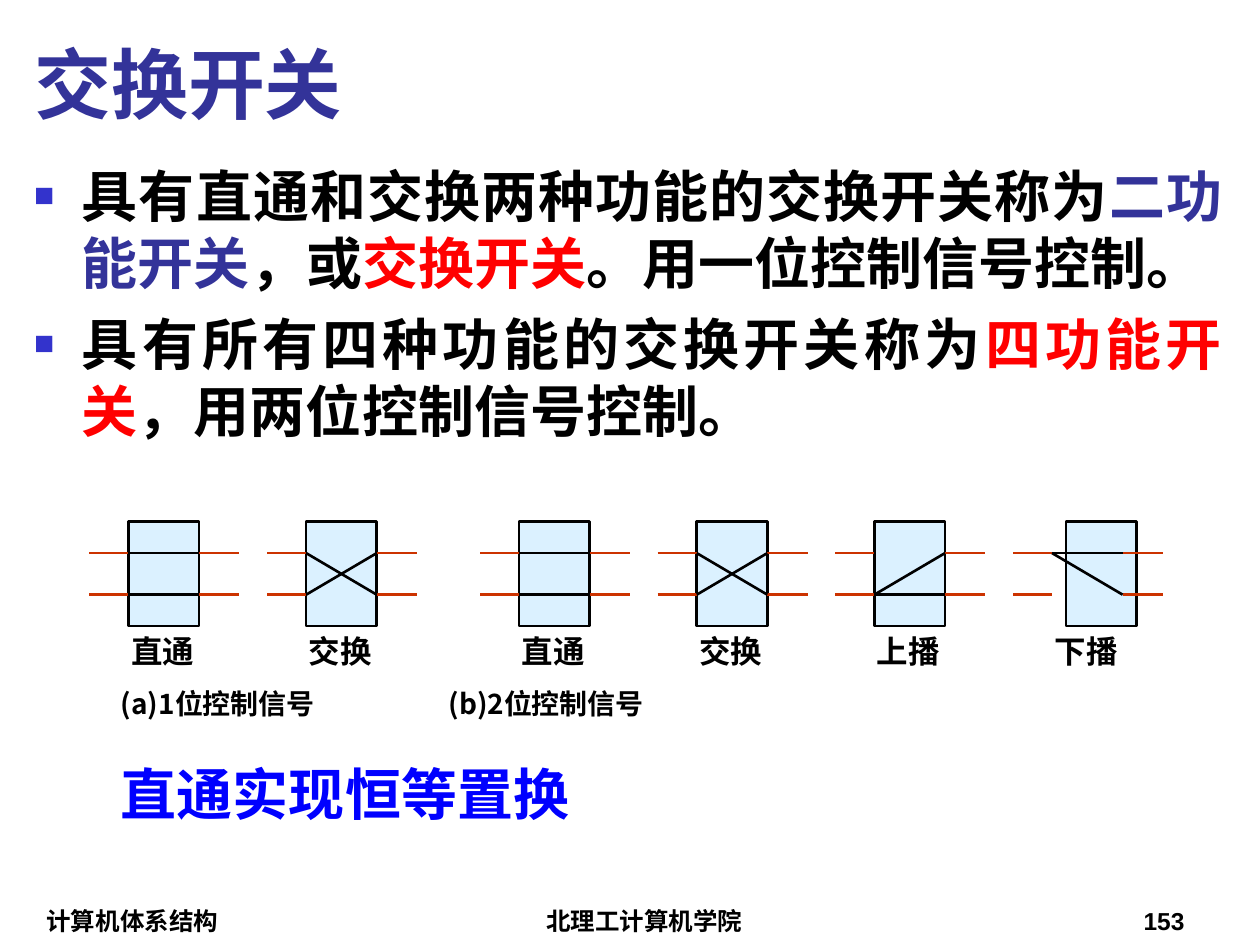
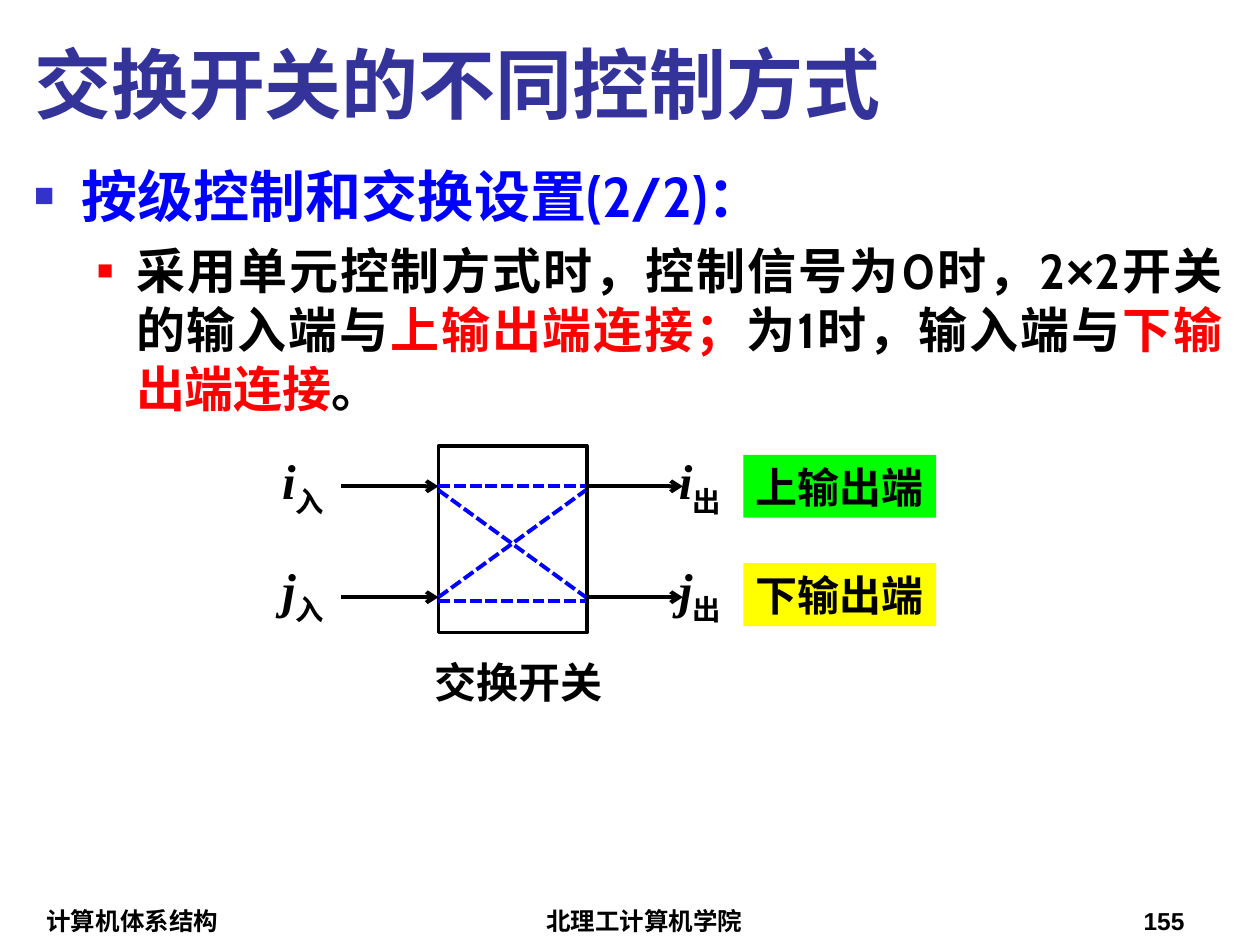
from lxml import etree
from pptx import Presentation
from pptx import util as u
from pptx.dml.color import RGBColor
from pptx.enum import dml, shapes, text
from pptx.oxml.ns import qn

COLORS = {
    "black": "000000", "title": "333399", "red": "FF0000", "blue": "0000FF",
    "bullet": "3333CC", "switch": "CCECFF", "lead": "CC3300",
    "green": "00FF00", "yellow": "FFFF00",
}
BODY_FONT = "Cabin"
CJK_FONT = "Noto Sans CJK SC"
SERIF = "Times New Roman"
LEFT, CENTER, RIGHT = text.PP_ALIGN.LEFT, text.PP_ALIGN.CENTER, text.PP_ALIGN.RIGHT
SMALL_INSETS = (0.02, 0.01)
LEVELS = [
    {"size": 32, "left": 0.38, "hang": 0.38, "before": 8, "color": "bullet", "scale": 60},
    {"size": 28, "left": 0.81, "hang": 0.31, "before": 7, "color": "red", "scale": 55},
]
PATTERNS = {
    "直通": [(0, 0), (1, 1)],
    "交换": [(0, 1), (1, 0)],
    "上播": [(1, 1), (1, 0)],
    "下播": [(0, 0), (0, 1)],
}


def rgb(name):
    return RGBColor.from_string(COLORS[name])


def sub(parent, tag, **attrs):
    return etree.SubElement(parent, qn(tag), attrs)


def place(sp, x, y, w, h):
    sp.left, sp.top = u.Inches(x), u.Inches(y)
    sp.width, sp.height = u.Inches(w), u.Inches(h)


def add_run(p, words, size, color="black", font=BODY_FONT, italic=False, baseline=None):
    r = p.add_run()
    r.text = words
    r.font.size = u.Pt(size)
    r.font.name = font
    r.font.bold = True
    r.font.italic = italic
    r.font.color.rgb = rgb(color)
    rPr = r._r.get_or_add_rPr()
    sub(rPr, "a:ea", typeface=BODY_FONT)
    if baseline:
        rPr.set("baseline", str(baseline * 1000))


def add_text(s, box, runs, size, font=BODY_FONT, align=LEFT, insets=(0.1, 0.05),
             anchor=text.MSO_ANCHOR.TOP, fit=False, fill=None):
    sp = s.shapes.add_textbox(*map(u.Inches, box))
    if fill:
        sp.fill.solid()
        sp.fill.fore_color.rgb = rgb(fill)
    tf = sp.text_frame
    tf.word_wrap = not fit
    tf.auto_size = text.MSO_AUTO_SIZE.SHAPE_TO_FIT_TEXT if fit else text.MSO_AUTO_SIZE.NONE
    tf.vertical_anchor = anchor
    tf.margin_left = tf.margin_right = u.Inches(insets[0])
    tf.margin_top = tf.margin_bottom = u.Inches(insets[1])
    p = tf.paragraphs[0]
    p.alignment = align
    for words, style in runs:
        add_run(p, words, size, **{"font": font, **style})


def add_line(s, start, end, color, width, dashed=False, arrow=False):
    c = s.shapes.add_connector(shapes.MSO_CONNECTOR.STRAIGHT, *map(u.Inches, start + end))
    c.line.color.rgb = rgb(color)
    c.line.width = u.Pt(width)
    if dashed:
        c.line.dash_style = dml.MSO_LINE.SQUARE_DOT
    spPr = c._element.spPr
    if arrow:
        sub(spPr.find(qn("a:ln")), "a:tailEnd", type="arrow")
    sub(spPr, "a:effectLst")


def add_box(s, box, width, fill=None, alpha=100):
    sp = s.shapes.add_shape(shapes.MSO_SHAPE.RECTANGLE, *map(u.Inches, box))
    sp.shadow.inherit = False
    sp.line.color.rgb = rgb("black")
    sp.line.width = u.Pt(width)
    if fill:
        sp.fill.solid()
        sp.fill.fore_color.rgb = rgb(fill)
        clr = sp._element.spPr.find(qn("a:solidFill"))[0]
        sub(clr, "a:alpha", val=str(alpha * 1000))
    else:
        sp.fill.background()


def add_bullets(sp, items):
    place(sp, 0.17, 1.23, 9.63, 5.75)
    tf = sp.text_frame
    tf.auto_size = text.MSO_AUTO_SIZE.NONE
    for i, (lvl, runs) in enumerate(items):
        p = tf.add_paragraph() if i else tf.paragraphs[0]
        look = LEVELS[lvl]
        p.level = lvl
        p.alignment = text.PP_ALIGN.JUSTIFY
        p.space_before = u.Pt(look["before"] if i else 0)
        pPr = p._p.get_or_add_pPr()
        pPr.set("marL", str(u.Inches(look["left"])))
        pPr.set("indent", str(-u.Inches(look["hang"])))
        pPr.set("hangingPunct", "0")
        sub(sub(pPr, "a:buClr"), "a:srgbClr", val=COLORS[look["color"]])
        sub(pPr, "a:buSzPct", val=str(look["scale"] * 1000))
        sub(pPr, "a:buFont", typeface="Arial")
        sub(pPr, "a:buChar", char="■")
        for words, style in runs:
            add_run(p, words, look["size"], **style)


def add_slide(prs, title, bullets, number):
    s = prs.slides.add_slide(prs.slide_layouts[1])
    sp = s.shapes.title
    place(sp, 0.17, 0.23, 9.61, 0.84)
    tf = sp.text_frame
    tf.auto_size = text.MSO_AUTO_SIZE.NONE
    tf.vertical_anchor = text.MSO_ANCHOR.BOTTOM
    tf.paragraphs[0].alignment = LEFT
    add_run(tf.paragraphs[0], title, 44, "title")
    add_bullets(s.placeholders[1], bullets)
    for x, w, words, align in [(0.27, 2.52, "计算机体系结构", LEFT),
                               (2.95, 4.33, "北理工计算机学院", CENTER),
                               (7.42, 2.08, number, RIGHT)]:
        add_text(s, (x, 7.14, w, 0.33), [(words, {})], 14, "Arial", align,
                 anchor=text.MSO_ANCHOR.BOTTOM)
    return s


def add_switch(s, x, name, shift=0):
    rails = (4.39, 4.72)
    left, right = x + 0.31, x + 0.87
    add_box(s, (left + shift, 4.14, 0.56, 0.83), 1.5, "switch", 70)
    for y in rails:
        add_line(s, (x, y), (left, y), "lead", 1.5)
        add_line(s, (right, y), (right + 0.32, y), "lead", 1.5)
    for start, end in PATTERNS[name]:
        add_line(s, (left, rails[start]), (right, rails[end]), "black", 1.5)
    add_text(s, (left, 5.01, 0.62, 0.31), [(name, {})], 18, SERIF, insets=SMALL_INSETS)


def build_switch_kinds(prs):
    s = add_slide(prs, "交换开关", [
        (0, [("具有直通和交换两种功能的交换开关称为", {}),
             ("二功能开关", {"color": "title"}),
             ("，或", {}),
             ("交换开关", {"color": "red"}),
             ("。用一位控制信号控制。", {})]),
        (0, [("具有所有四种功能的交换开关称为", {}),
             ("四功能开关", {"color": "red"}),
             ("，用两位控制信号控制。", {})]),
    ], "153")
    for first, names in [(0.71, ["直通", "交换"]),
                         (3.81, ["直通", "交换", "上播", "下播"])]:
        for i, name in enumerate(names):
            add_switch(s, first + 1.41 * i, name, 0.11 if name == "下播" else 0)
    for x, words in [(0.94, "(a)1位控制信号"), (3.54, "(b)2位控制信号")]:
        add_text(s, (x, 5.39, 2.2, 0.39), [(words, {})], 16, CJK_FONT,
                 insets=SMALL_INSETS, anchor=text.MSO_ANCHOR.MIDDLE)
    add_text(s, (0.94, 6.02, 4.06, 0.62), [("直通实现恒等置换", {"color": "blue"})],
             32, CJK_FONT, insets=SMALL_INSETS)


def build_control_modes(prs):
    s = add_slide(prs, "交换开关的不同控制方式", [
        (0, [("按级控制和交换设置(2/2)：", {"color": "blue"})]),
        (1, [("采用单元控制方式时，控制信号为0时，2", {}),
             ("×", {"font": "Arial"}),
             ("2开关的输入端与", {}),
             ("上输出端连接；", {"color": "red"}),
             ("为1时，输入端与", {}),
             ("下输出端连接", {"color": "red"}),
             ("。", {})]),
    ], "155")
    left, right, reach = 3.48, 4.65, 0.77
    add_text(s, (3.35, 5.16, 1.53, 0.5), [("交换开关", {})], 24, align=CENTER, fit=True)
    add_box(s, (left, 3.54, 1.18, 1.48), 2.25)
    for y in (3.86, 4.74):
        add_line(s, (left - reach, y), (left, y), "black", 2.25, arrow=True)
        add_line(s, (right, y), (right + reach, y), "black", 2.25, arrow=True)
    for y1, y2 in [(3.86, 3.86), (4.74, 3.89), (3.89, 4.74), (4.77, 4.77)]:
        add_line(s, (left, y1), (right, y2), "blue", 2.25, dashed=True)
    for y, letter, output, fill in [(3.53, "i", "上输出端", "green"),
                                    (4.39, "j", "下输出端", "yellow")]:
        for x, side in [(2.14, "入"), (5.29, "出")]:
            add_text(s, (x, y, 0.72, 0.63),
                     [(letter, {"italic": True}), (side, {"baseline": -25})],
                     28, SERIF, fit=True)
        add_text(s, (5.9, y + 0.08, 1.53, 0.5), [(output, {})], 24, "Arial",
                 fit=True, fill=fill)


def main():
    prs = Presentation()
    prs.slide_width, prs.slide_height = u.Inches(10), u.Inches(7.5)
    build_switch_kinds(prs)
    build_control_modes(prs)
    prs.save("out.pptx")


if __name__ == "__main__":
    main()
